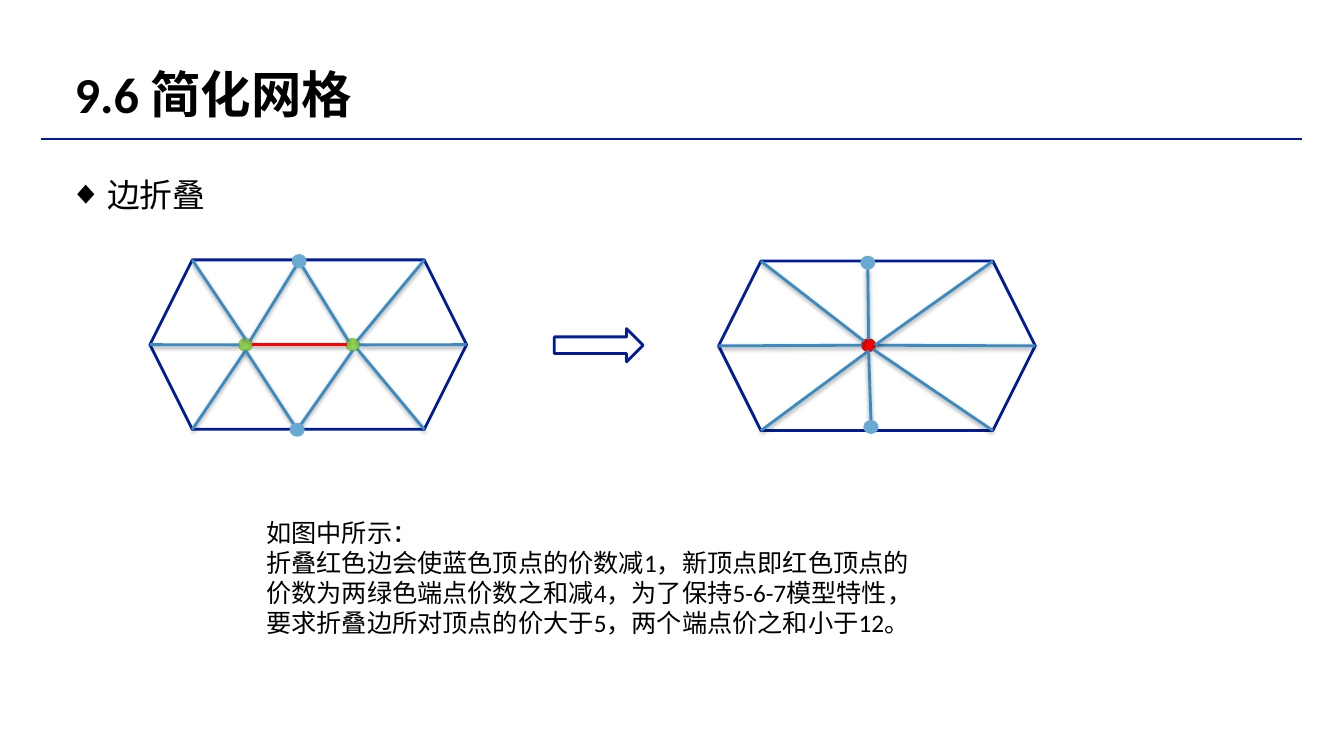
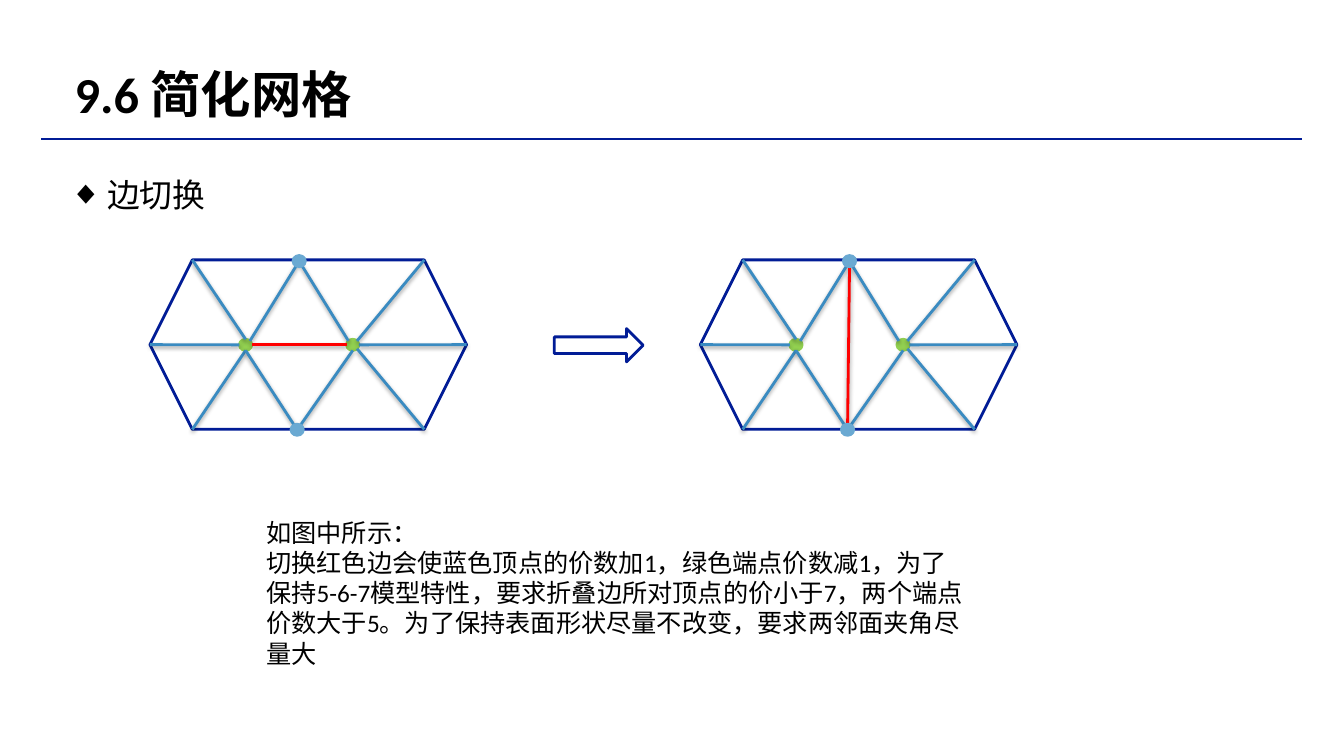
"""Two slides on mesh simplification: edge collapse and edge flip."""
from lxml.etree import SubElement
from pptx import Presentation
from pptx.dml.color import RGBColor
from pptx.enum.shapes import MSO_CONNECTOR as Connector, MSO_SHAPE as Shape
from pptx.enum.text import MSO_ANCHOR as Anchor, MSO_AUTO_SIZE as AutoSize, PP_ALIGN as Align
from pptx.oxml.ns import qn
from pptx.util import Cm, Pt

COLORS = {"navy": "011C96", "edge": "3A8BC1", "apex": "6AA9D2",
          "end": "92D050", "red": "FF0000", "ink": "000000"}
CJK_FONT = "Noto Sans CJK SC"
TITLE = "9.6 简化网格"
HEX_W, HEX_H, DOT_W, DOT_H = 7.98, 4.27, 0.31, 0.28
CORNERS = {"w": (0, HEX_H / 2), "e": (HEX_W, HEX_H / 2),
           "nw": (HEX_H / 4, 0), "ne": (HEX_W - HEX_H / 4, 0),
           "sw": (HEX_H / 4, HEX_H), "se": (HEX_W - HEX_H / 4, HEX_H)}
RIM = {"": (0, 0), "N": (0, -1), "S": (0, 1), "W": (-1, 0), "E": (1, 0),
       "NW": (-0.7, -0.7), "NE": (0.7, -0.7), "SE": (0.7, 0.7)}

FAN = [("w", "left.W"), ("right.E", "e"), ("left.N", "nw"), ("left.NE", "top"),
       ("right.NW", "top"), ("right.NE", "ne"), ("right.SE", "se"),
       ("left.S", "sw"), ("left.S", "bottom"), ("right.S", "bottom")]
BEFORE = {"hubs": {"left": (2.41, 2.14), "right": (5.11, 2.14)}, "hub_color": "end",
          "apexes": {"top": (3.76, 0.03), "bottom": (3.71, 4.28)},
          "edges": FAN, "red_edges": [("left.E", "right.W")]}
FLIPPED = {**BEFORE, "red_edges": [("top.S", "bottom.N")]}
COLLAPSED = {"hubs": {"hub": (3.78, 2.12)}, "hub_color": "red",
             "apexes": {"top": (3.76, 0.04), "bottom": (3.84, 4.18)},
             "edges": [("w", "hub.W"), ("hub.E", "e"), ("hub.NW", "nw"),
                       ("hub.N", "top.S"), ("hub.E", "ne"), ("hub.SE", "se"),
                       ("hub.S", "sw"), ("hub.S", "bottom.N")],
             "red_edges": []}

SLIDES = [
    {"topic": "边折叠", "after": COLLAPSED, "after_at": (18.11, 6.58), "caption_w": 16.84,
     "caption": ["如图中所示：",
                 "折叠红色边会使蓝色顶点的价数减1，新顶点即红色顶点的价数为两绿色端点价数之和减4，"
                 "为了保持5-6-7模型特性，要求折叠边所对顶点的价大于5，两个端点价之和小于12。"]},
    {"topic": "边切换", "after": FLIPPED, "after_at": (17.65, 6.55), "caption_w": 17.98,
     "caption": ["如图中所示：",
                 "切换红色边会使蓝色顶点的价数加1，绿色端点价数减1，为了保持5-6-7模型特性，"
                 "要求折叠边所对顶点的价小于7，两个端点价数大于5。为了保持表面形状尽量不改变，"
                 "要求两邻面夹角尽量大"]},
]


def rgb(name):
    return RGBColor.from_string(COLORS[name])


def draw_shape(shapes, kind, box, line, fill=None):
    shape = shapes.add_shape(kind, *map(Cm, box))
    shape.shadow.inherit = False
    shape.line.color.rgb, shape.line.width = rgb(line), Pt(2)
    if fill:
        shape.fill.solid()
        shape.fill.fore_color.rgb = rgb(fill)
    else:
        shape.fill.background()


def draw_line(shapes, start, end, color, width=2, shadow=False):
    line = shapes.add_connector(Connector.STRAIGHT, *map(Cm, (*start, *end)))
    line.line.color.rgb, line.line.width = rgb(color), Pt(width)
    effects = SubElement(line.element.spPr, qn("a:effectLst"))
    if shadow:
        outer = SubElement(effects, qn("a:outerShdw"), blurRad="40000", dist="20000",
                           dir="5400000", rotWithShape="0")
        black = SubElement(outer, qn("a:srgbClr"), val=COLORS["ink"])
        SubElement(black, qn("a:alpha"), val="38000")
    return line


def draw_mesh(slide, mesh, origin):
    shapes = slide.shapes.add_group_shape().shapes
    points = {**CORNERS, **mesh["hubs"], **mesh["apexes"]}

    def locate(name):
        point, _, side = name.partition(".")
        return tuple(start + offset + rim * size / 2 for start, offset, rim, size
                     in zip(origin, points[point], RIM[side], (DOT_W, DOT_H)))

    def draw_dots(names, color):
        for x, y in map(locate, names):
            box = (x - DOT_W / 2, y - DOT_H / 2, DOT_W, DOT_H)
            draw_shape(shapes, Shape.OVAL, box, color, color)

    draw_shape(shapes, Shape.HEXAGON, (*origin, HEX_W, HEX_H), "navy")
    draw_dots(mesh["hubs"], mesh["hub_color"])
    for key, color in (("edges", "edge"), ("red_edges", "red")):
        for start, end in mesh[key]:
            draw_line(shapes, locate(start), locate(end), color, shadow=True)
    draw_dots(mesh["apexes"], "apex")


def write(frame, texts, size, font="Calibri", bold=False, inset=0.13, bullet=None, spacing=1):
    frame_format = {"word_wrap": True, "auto_size": AutoSize.NONE, "vertical_anchor": Anchor.TOP,
                    **{f"margin_{side}": Cm(inset) for side in ("left", "top", "right", "bottom")}}
    for key, value in frame_format.items():
        setattr(frame, key, value)
    frame.text = "\n".join(texts)
    for paragraph in frame.paragraphs:
        if bullet:
            props = paragraph._p.get_or_add_pPr()
            props.set("marL", str(Cm(0.95)))
            props.set("indent", str(Cm(-0.95)))
            SubElement(props, qn("a:buChar"), char=bullet)
        paragraph.alignment = Align.LEFT
        paragraph.space_before = Pt(0)
        paragraph.line_spacing = spacing
        for run in paragraph.runs:
            for key, value in {"size": Pt(size), "name": font, "bold": bold}.items():
                setattr(run.font, key, value)
            run.font.color.rgb = rgb("ink")
            SubElement(run._r.get_or_add_rPr(), qn("a:ea"), typeface=CJK_FONT)


def prepare_layout(prs):
    layout = prs.slide_layouts[1]
    for holder, box in zip(layout.placeholders, ((1.75, 1.47, 19.38, 1.68),
                                                 (1.75, 3.4, 30.51, 1.8))):
        for key, value in zip(("left", "top", "width", "height"), box):
            setattr(holder, key, Cm(value))
    return layout


def main():
    prs = Presentation()
    prs.slide_width, prs.slide_height = Cm(33.87), Cm(19.05)
    layout = prepare_layout(prs)
    for number, content in enumerate(SLIDES):
        slide = prs.slides.add_slide(layout)
        if number == 0:
            rule = draw_line(slide.shapes, (1.04, 3.5), (32.82, 3.5), "navy", 1.5)
            layout.shapes.element.append(rule.element)
        title, topic = slide.placeholders
        write(title.text_frame, [TITLE], 36, bold=True)
        write(topic.text_frame, [content["topic"]], 23.4, CJK_FONT,
              inset=0, bullet="◆", spacing=2)
        draw_mesh(slide, BEFORE, (3.78, 6.55))
        draw_mesh(slide, content["after"], content["after_at"])
        draw_shape(slide.shapes, Shape.RIGHT_ARROW, (13.97, 8.28, 2.24, 0.84), "navy")
        caption = slide.shapes.add_textbox(*map(Cm, (6.58, 12.9, content["caption_w"], 3.33)))
        write(caption.text_frame, content["caption"], 18)
    prs.save("out.pptx")


if __name__ == "__main__":
    main()
